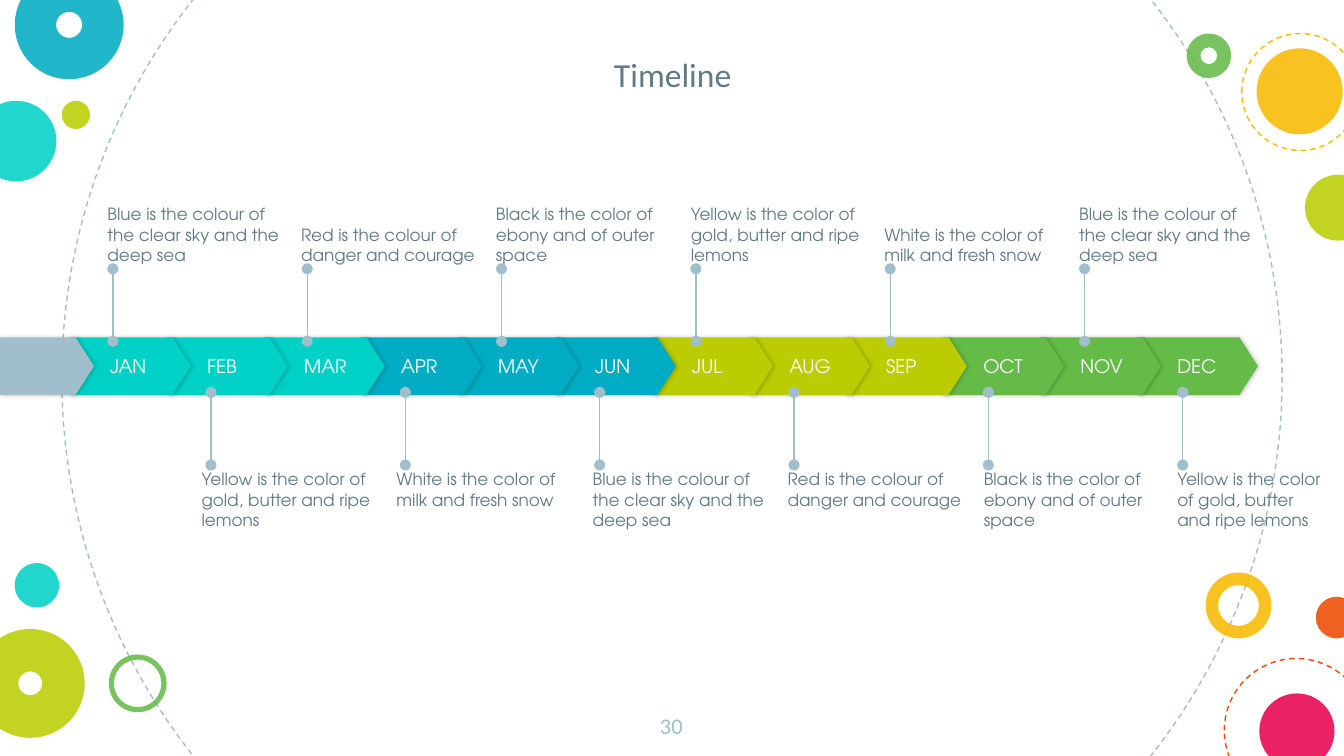
from lxml.etree import SubElement
from pptx import Presentation
from pptx.dml.color import RGBColor
from pptx.enum.dml import MSO_LINE
from pptx.enum.shapes import MSO_CONNECTOR, MSO_SHAPE
from pptx.enum.text import MSO_ANCHOR, MSO_AUTO_SIZE, PP_ALIGN
from pptx.oxml.ns import qn
from pptx.util import Inches, Pt

GREY = RGBColor(0xA1, 0xBE, 0xCC)
SLATE = RGBColor(0x61, 0x7A, 0x86)
TURQUOISE = RGBColor(0x00, 0xD1, 0xC6)
BLUE = RGBColor(0x00, 0xAC, 0xC3)
LIME = RGBColor(0xBB, 0xCD, 0x00)
GREEN = RGBColor(0x65, 0xBB, 0x48)
YELLOW = RGBColor(0xF8, 0xBB, 0x00)
ORANGE = RGBColor(0xED, 0x4A, 0x00)
PINK = RGBColor(0xE8, 0x00, 0x4C)
WHITE = RGBColor(0xFF, 0xFF, 0xFF)

HEAD_FONT = "Calibri"
BODY_FONT = "TeX Gyre Adventor"

# left, top, diameter, colour
RINGS = [
    (0.46, -1.73, 9.08, GREY),
    (9.11, 4.9, 1.07, ORANGE),
    (9.24, 0.25, 0.87, YELLOW),
]
# left, top, diameter, colour, donut thickness (None for a disc)
DOTS = [
    (-0.18, 0.75, 0.6, TURQUOISE, None),
    (8.97, 4.26, 0.49, YELLOW, 0.19),
    (0.11, -0.22, 0.81, BLUE, 0.38),
    (0.46, 0.75, 0.21, LIME, None),
    (0.81, 4.87, 0.43, GREEN, 0.09),
    (9.79, 4.44, 0.31, ORANGE, None),
    (-0.18, 4.68, 0.81, LIME, 0.39),
    (9.37, 5.16, 0.56, PINK, None),
    (8.83, 0.25, 0.33, GREEN, 0.31),
    (9.35, 0.36, 0.64, YELLOW, None),
    (9.71, 1.3, 0.49, LIME, None),
    (0.11, 4.19, 0.33, TURQUOISE, None),
]

MONTHS = ["JAN", "FEB", "MAR", "APR", "MAY", "JUN",
          "JUL", "AUG", "SEP", "OCT", "NOV", "DEC"]
QUARTERS = [TURQUOISE, BLUE, LIME, GREEN]
MONTH_LEFT, MONTH_STEP = 0.52, (8.46 - 0.52) / 11
PIN_STEP = (8.07 - 0.84) / 5

BLUE_NOTE = "Blue is the colour of the clear sky and the deep sea"
RED_NOTE = "Red is the colour of danger and courage"
BLACK_NOTE = "Black is the color of ebony and of outer space"
YELLOW_NOTE = "Yellow is the color of gold, butter and ripe lemons"
WHITE_NOTE = "White is the color of milk and fresh snow"
# text and its left edge, above and below the band
UPPER_NOTES = [(BLUE_NOTE, 0.8), (RED_NOTE, 2.24), (BLACK_NOTE, 3.69),
               (YELLOW_NOTE, 5.14), (WHITE_NOTE, 6.58), (BLUE_NOTE, 8.03)]
LOWER_NOTES = [(YELLOW_NOTE, 1.5), (WHITE_NOTE, 2.95), (BLUE_NOTE, 4.41),
               (RED_NOTE, 5.86), (BLACK_NOTE, 7.32), (YELLOW_NOTE, 8.76)]
NOTE_WIDTH, NOTE_RIGHT_LIMIT = 1.37, 9.89


def set_text(tf, text, size, font, color, align=PP_ALIGN.LEFT,
             anchor=MSO_ANCHOR.TOP, inset=0, left_inset=None):
    tf.word_wrap = True
    tf.auto_size = MSO_AUTO_SIZE.NONE
    tf.vertical_anchor = anchor
    tf.margin_top = tf.margin_right = tf.margin_bottom = Inches(inset)
    tf.margin_left = Inches(inset if left_inset is None else left_inset)
    p = tf.paragraphs[0]
    p.text = text
    p.alignment = align
    p.font.size = Pt(size)
    p.font.name = font
    p.font.color.rgb = color


def add_textbox(slide, left, top, width, height, text, size, font, color, **style):
    box = slide.shapes.add_textbox(Inches(left), Inches(top), Inches(width), Inches(height))
    set_text(box.text_frame, text, size, font, color, **style)


def add_filled(slide, kind, left, top, width, height, color):
    sp = slide.shapes.add_shape(kind, Inches(left), Inches(top), Inches(width), Inches(height))
    sp.fill.solid()
    sp.fill.fore_color.rgb = color
    sp.line.fill.background()
    sp.shadow.inherit = False
    return sp


def add_ring(slide, left, top, size, color):
    sp = add_filled(slide, MSO_SHAPE.OVAL, left, top, size, size, color)
    sp.fill.background()
    sp.line.color.rgb = color
    sp.line.width = Pt(0.75)
    sp.line.dash_style = MSO_LINE.DASH


def add_dot(slide, left, top, size, color, thickness):
    """Add a slightly transparent disc, or a donut when a thickness is given."""
    kind = MSO_SHAPE.DONUT if thickness else MSO_SHAPE.OVAL
    sp = add_filled(slide, kind, left, top, size, size, color)
    if thickness:
        sp.adjustments[0] = thickness
    clr = sp._element.spPr.find(f"{qn('a:solidFill')}/{qn('a:srgbClr')}")
    SubElement(clr, qn("a:alpha"), val="87000")


def add_arrow(slide, left, width, color, label=None):
    """Add one shadowed pentagon of the timeline band."""
    sp = add_filled(slide, MSO_SHAPE.PENTAGON, left, 2.51, width, 0.43, color)
    sp.adjustments[0] = 0.32
    effects = sp._element.spPr.find(qn("a:effectLst"))
    shadow = SubElement(effects, qn("a:outerShdw"), blurRad=str(Pt(2.2)),
                        dist=str(Pt(0.8)), dir="0", algn="l", rotWithShape="0")
    clr = SubElement(shadow, qn("a:srgbClr"), val="000000")
    SubElement(clr, qn("a:alpha"), val="20000")
    if label:
        set_text(sp.text_frame, label, 10, BODY_FONT, WHITE,
                 anchor=MSO_ANCHOR.MIDDLE, left_inset=0.3)


def add_pin(slide, x, start, end):
    """Add a vertical line with a round dot at each end."""
    line = slide.shapes.add_connector(MSO_CONNECTOR.STRAIGHT, Inches(x), Inches(start),
                                      Inches(x), Inches(end))
    line.line.color.rgb = GREY
    line.line.width = Pt(0.75)
    sp_pr = line._element.spPr
    for tag in ("a:headEnd", "a:tailEnd"):
        SubElement(sp_pr.find(qn("a:ln")), qn(tag), type="oval")
    SubElement(sp_pr, qn("a:effectLst"))


def add_notes(slide, notes, first_pin, start, end, top, anchor):
    """Add a pin and a note for every second month."""
    for i, (text, left) in enumerate(notes):
        add_pin(slide, first_pin + i * PIN_STEP, start, end)
        width = min(NOTE_WIDTH, NOTE_RIGHT_LIMIT - left)
        add_textbox(slide, left, top, width, 0.58, text, 9, BODY_FONT, SLATE, anchor=anchor)


def add_title(slide, text):
    title = slide.shapes.title
    title.left, title.top = Inches(2.12), Inches(0.1)
    title.width, title.height = Inches(5.77), Inches(0.7)
    set_text(title.text_frame, text, 18, HEAD_FONT, SLATE, align=PP_ALIGN.CENTER,
             anchor=MSO_ANCHOR.BOTTOM, inset=0.1)


def main():
    prs = Presentation()
    prs.slide_width = Inches(10)
    prs.slide_height = prs.slide_width * 9 // 16
    slide = prs.slides.add_slide(prs.slide_layouts[5])

    for ring in RINGS:
        add_ring(slide, *ring)
    for dot in DOTS:
        add_dot(slide, *dot)
    add_title(slide, "Timeline")
    add_textbox(slide, 4.74, 5.2, 0.51, 0.43, "30", 12, HEAD_FONT, GREY,
                align=PP_ALIGN.CENTER, inset=0.1)

    # Last month first, so that each point lies over the next month
    for i, month in reversed(list(enumerate(MONTHS))):
        add_arrow(slide, MONTH_LEFT + i * MONTH_STEP, 0.9, QUARTERS[i // 3], month)
    add_arrow(slide, 0, 0.7, GREY)

    add_notes(slide, UPPER_NOTES, 0.84, 2.54, 2, 1.39, MSO_ANCHOR.BOTTOM)
    add_notes(slide, LOWER_NOTES, 1.57, 3.46, 2.92, 3.49, MSO_ANCHOR.TOP)
    prs.save("out.pptx")


if __name__ == "__main__":
    main()
